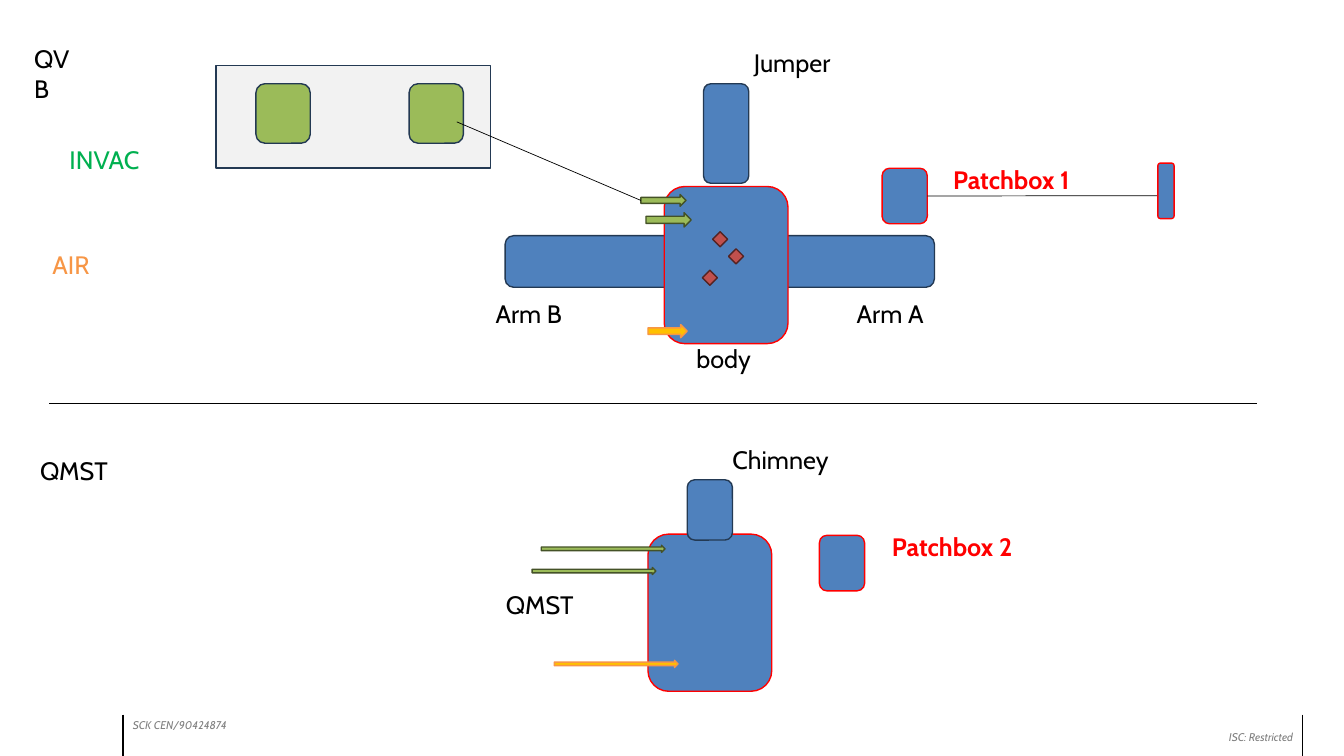
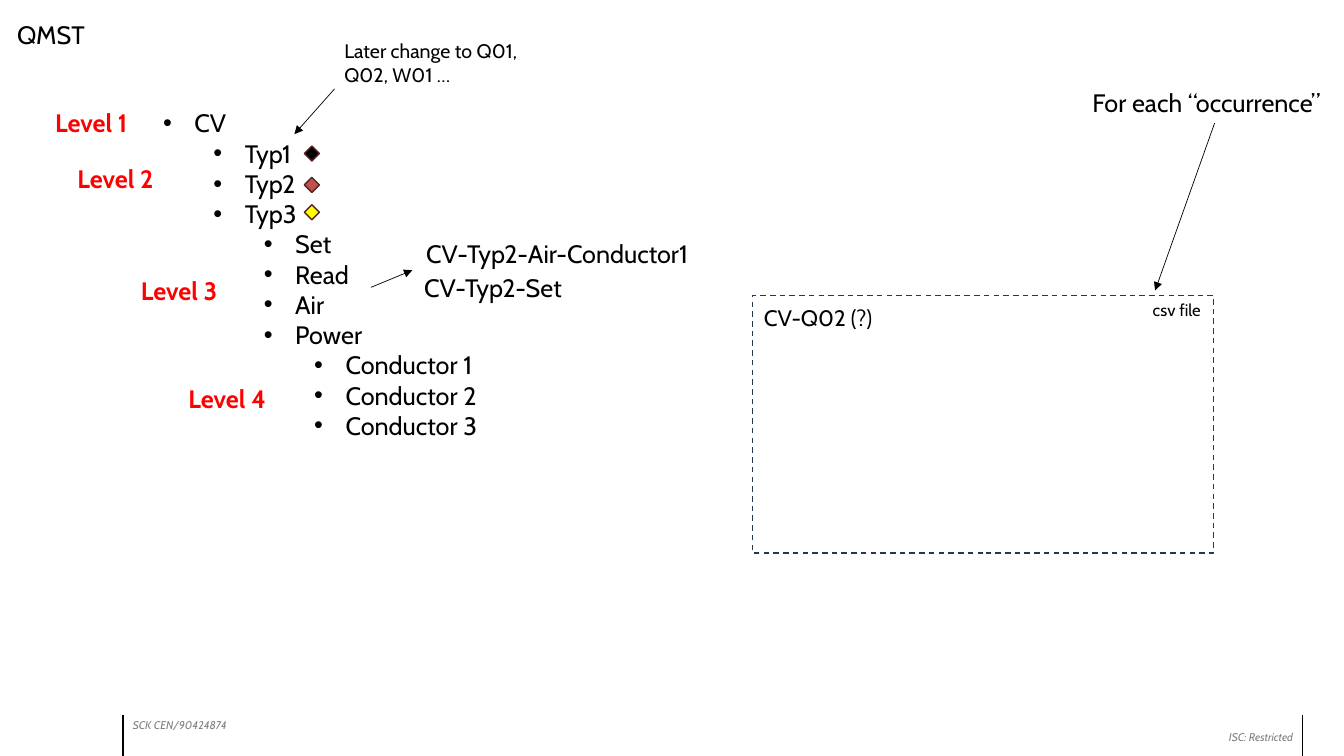
from dataclasses import dataclass

import lxml.etree
import pptx
import pptx.dml.color
import pptx.enum.dml
import pptx.enum.shapes
import pptx.enum.text
import pptx.oxml.ns
import pptx.util
from pptx.shapes.autoshape import Shape
from pptx.shapes.connector import Connector
from pptx.slide import Slide
from pptx.text.text import _Paragraph

Cm = pptx.util.Cm
Pt = pptx.util.Pt
qn = pptx.oxml.ns.qn
KIND = pptx.enum.shapes.MSO_SHAPE
ALIGN = pptx.enum.text.PP_ALIGN

FONT = "Cabin"
BLACK, WHITE, GRAY, PALE = "000000", "FFFFFF", "808080", "F2F2F2"
BLUE, NAVY, RED = "4F81BD", "233953", "FF0000"
GREEN, MOSS, LEAF = "9BBB59", "445227", "00B050"
GOLD, ORANGE = "FFC000", "F79646"
BRICK, WINE, YELLOW = "C0504D", "542322", "FFFF00"

ROUND, ARROW = KIND.ROUNDED_RECTANGLE, KIND.RIGHT_ARROW
GEM = 0.38
HANG, STEP = 0.79, 1.27


@dataclass
class Block:
    left: float
    top: float
    width: float
    height: float
    fill: str = BLUE
    edge: str = NAVY
    kind: KIND = ROUND
    dash: bool = False


@dataclass
class Label:
    text: str
    left: float
    top: float
    width: float
    height: float = 1.02
    color: str = BLACK
    size: int = 18
    bold: bool = False
    slant: bool = False
    wrap: bool = False
    align: ALIGN = ALIGN.LEFT


@dataclass
class Line:
    start: tuple[float, float]
    end: tuple[float, float]
    weight: float = 0.5
    head: bool = False


def paint(code: str) -> pptx.dml.color.RGBColor:
    return pptx.dml.color.RGBColor.from_string(code)


def add_block(slide: Slide, block: Block) -> Shape:
    shape = slide.shapes.add_shape(
        block.kind, Cm(block.left), Cm(block.top), Cm(block.width), Cm(block.height))
    shape.shadow.inherit = False
    shape.fill.solid()
    shape.fill.fore_color.rgb = paint(block.fill)
    shape.line.color.rgb = paint(block.edge)
    shape.line.width = Pt(1)
    if block.dash:
        shape.line.dash_style = pptx.enum.dml.MSO_LINE.DASH
    return shape


def add_run(para: _Paragraph, text: str, style: Label) -> None:
    run = para.add_run()
    run.text = text
    run.font.name = FONT
    run.font.size = Pt(style.size)
    run.font.bold = style.bold
    run.font.italic = style.slant
    run.font.color.rgb = paint(style.color)


def add_label(slide: Slide, label: Label) -> Shape:
    box = slide.shapes.add_textbox(
        Cm(label.left), Cm(label.top), Cm(label.width), Cm(label.height))
    frame = box.text_frame
    frame.word_wrap = label.wrap
    frame.auto_size = pptx.enum.text.MSO_AUTO_SIZE.SHAPE_TO_FIT_TEXT
    para = frame.paragraphs[0]
    para.alignment = label.align
    if label.text:
        add_run(para, label.text, label)
    return box


def add_line(slide: Slide, line: Line) -> Connector:
    link = slide.shapes.add_connector(
        pptx.enum.shapes.MSO_CONNECTOR.STRAIGHT,
        *(Cm(value) for value in line.start + line.end))
    link.line.color.rgb = paint(BLACK)
    link.line.width = Pt(line.weight)
    props = link._element.spPr
    if line.head:
        lxml.etree.SubElement(props.find(qn("a:ln")), qn("a:tailEnd"), type="triangle")
    lxml.etree.SubElement(props, qn("a:effectLst"))
    return link


def add_tree(slide: Slide, style: Label, items: list[tuple[int, str]]) -> None:
    frame = add_label(slide, style).text_frame
    for index, (level, text) in enumerate(items):
        para = frame.add_paragraph() if index else frame.paragraphs[0]
        para.level = level
        props = para._p.get_or_add_pPr()
        props.set("marL", str(int(Cm(HANG + STEP * level))))
        props.set("indent", str(int(Cm(-HANG))))
        lxml.etree.SubElement(props, qn("a:buFont"), typeface="Arial")
        lxml.etree.SubElement(props, qn("a:buChar"), char="•")
        add_run(para, text, style)


def gem(left: float, top: float, fill: str = BRICK) -> Block:
    return Block(left, top, GEM, GEM, fill, WINE, KIND.DIAMOND)


def dart(left: float, top: float, width: float = 3.12, height: float = 0.18,
         fill: str = GREEN, edge: str = MOSS) -> Block:
    return Block(left, top, width, height, fill, edge, ARROW)


def red_label(text: str, left: float, top: float, width: float) -> Label:
    return Label(text, left, top, width, color=RED, bold=True)


def new_slide(deck: pptx.presentation.Presentation) -> Slide:
    slide = deck.slides.add_slide(deck.slide_layouts[6])
    small = dict(height=0.61, color=GRAY, size=8, slant=True, wrap=True)
    add_label(slide, Label("ISC: Restricted", 28.22, 18.29, 4.62,
                           align=ALIGN.RIGHT, **small))
    add_label(slide, Label("SCK CEN/90424874", 3.1, 17.98, 3.99, **small))
    for left in (3.1, 32.82):
        add_line(slide, Line((left, 18.01), (left, 19.05), 1))
    return slide


def draw_parts(slide: Slide) -> None:
    for block in (
        Block(5.44, 1.65, 6.93, 2.59, PALE, kind=KIND.RECTANGLE),
        Block(12.73, 5.94, 10.82, 1.3),
        Block(16.74, 4.7, 3.12, 3.96, edge=RED),
        Block(17.73, 2.11, 1.14, 2.51),
        Block(16.33, 13.46, 3.12, 3.96, edge=RED),
        Block(17.32, 12.09, 1.14, 1.52),
        Block(20.65, 13.49, 1.14, 1.4, edge=RED),
        Block(6.45, 2.11, 1.37, 1.5, GREEN),
        Block(10.31, 2.11, 1.37, 1.5, GREEN),
        dart(13.64, 13.74),
        dart(13.41, 14.3),
        dart(16.28, 5.36, 1.14, 0.36),
        dart(16.33, 8.18, 0.99, 0.33, GOLD, ORANGE),
        dart(13.97, 16.64, fill=GOLD, edge=ORANGE),
        gem(17.96, 5.84),
        gem(18.36, 6.27),
        gem(17.7, 6.81),
    ):
        add_block(slide, block)

    for label in (
        Label("QVB", 0.61, 0.97, 1.65, 1.78, wrap=True),
        Label("INVAC", 1.5, 3.51, 2.34, color=LEAF),
        Label("AIR", 1.07, 6.15, 1.47, color=ORANGE),
        Label("Jumper", 18.75, 1.07, 2.59),
        Label("Arm B", 12.24, 7.39, 2.24),
        Label("Arm A", 21.34, 7.39, 2.29),
        Label("body", 17.3, 8.53, 1.96),
        red_label("Patchbox 1", 23.77, 4.01, 3.86),
        Label("QMST", 0.76, 11.35, 2.26),
        Label("Chimney", 18.21, 11.07, 2.97),
        Label("QMST", 12.5, 14.73, 2.26),
        red_label("Patchbox 2", 22.23, 13.26, 3.86),
    ):
        add_label(slide, label)

    add_line(slide, Line((1.24, 10.16), (31.67, 10.16)))
    patch = add_block(slide, Block(22.23, 4.24, 1.14, 1.4, edge=RED))
    cable = add_line(slide, Line((23.37, 4.94), (29.39, 4.93)))
    cable.begin_connect(patch, 3)
    add_block(slide, Block(29.18, 4.11, 0.41, 1.4, edge=RED))
    inlet = add_block(slide, dart(16.15, 4.9, 1.14, 0.3))
    feed = add_line(slide, Line((11.51, 3.07), (16.15, 5.05)))
    feed.end_connect(inlet, 1)


def draw_names(slide: Slide) -> None:
    add_tree(slide, Label("", 3.86, 2.59, 8.94, 8.71), [
        (0, "CV"),
        *((1, f"Typ{number}") for number in (1, 2, 3)),
        *((2, text) for text in ("Set", "Read", "Air", "Power")),
        *((3, f"Conductor {number}") for number in (1, 2, 3)),
    ])
    add_block(slide, Block(18.97, 7.44, 11.61, 6.5, WHITE,
                           kind=KIND.RECTANGLE, dash=True))

    for label in (
        Label("QMST", 0.18, 0.36, 2.26),
        Label("CV-Typ2-Air-Conductor1", 10.49, 5.89, 7.54),
        Label("CV-Typ2-Set", 10.44, 6.73, 4.06),
        Label("csv file", 28.8, 7.44, 1.78, 0.76, size=12),
        Label("CV-Q02 (?)", 19, 7.54, 3.25, 0.94, size=16),
        Label("For each “occurrence”", 27.28, 2.08, 6.58),
        Label("Later change to Q01, Q02, W01 …", 8.43, 0.86, 5.31, 1.45,
              size=14, wrap=True),
    ):
        add_label(slide, label)

    spots = ((1.14, 2.59), (1.7, 3.99), (3.3, 6.81), (4.5, 9.53))
    for number, (left, top) in enumerate(spots, 1):
        add_label(slide, red_label(f"Level {number}", left, top, 2.62))

    for top, fill in ((3.68, BLACK), (4.47, BRICK), (5.16, YELLOW)):
        add_block(slide, gem(7.67, top, fill))

    for start, end in (
        ((9.35, 7.24), (10.39, 6.81)),
        ((30.61, 3.1), (29.11, 7.32)),
        ((8.43, 2.24), (7.42, 3.38)),
    ):
        add_line(slide, Line(start, end, head=True))


def main() -> None:
    deck = pptx.Presentation()
    deck.slide_width, deck.slide_height = Cm(33.87), Cm(19.05)
    draw_parts(new_slide(deck))
    draw_names(new_slide(deck))
    deck.save("out.pptx")


if __name__ == "__main__":
    main()
